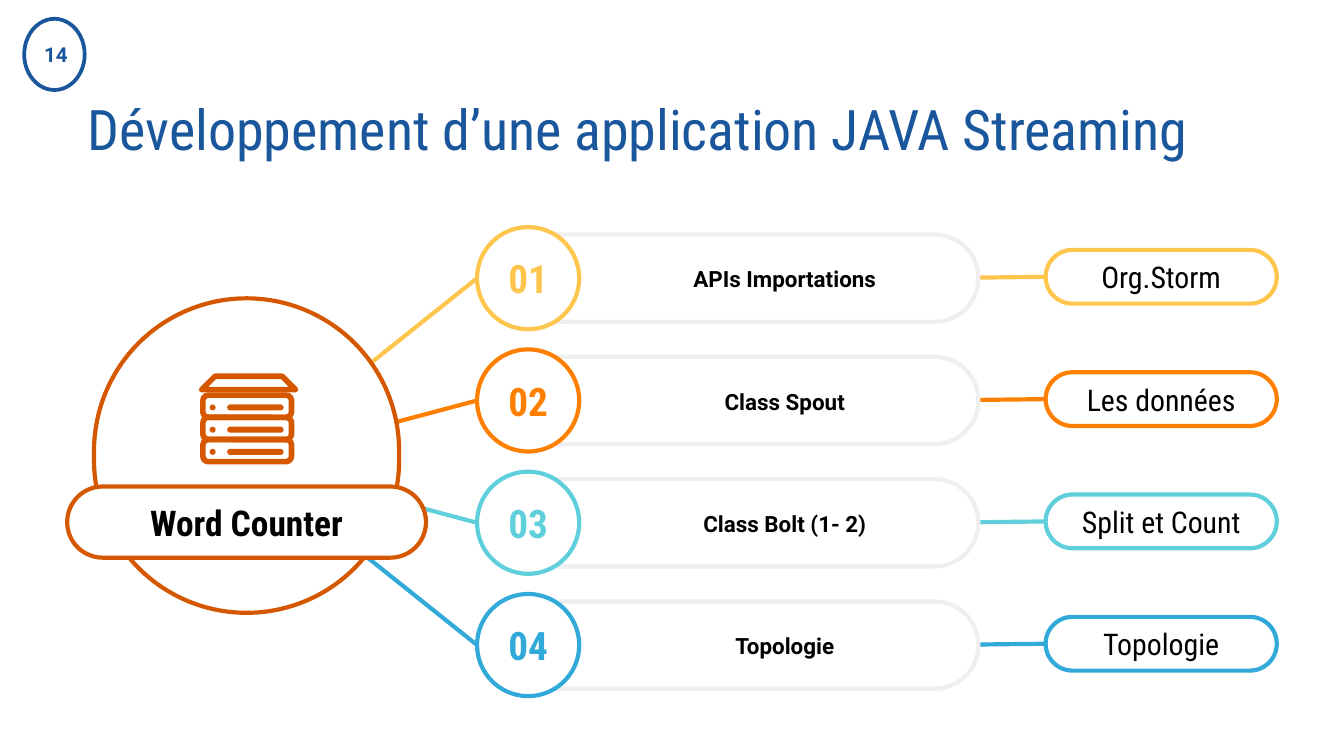
"""Build the slide on the four parts of a word-counting streaming application."""
from lxml.etree import SubElement
from pptx import Presentation
from pptx.dml.color import RGBColor
from pptx.enum.shapes import MSO_CONNECTOR, MSO_SHAPE as SHAPE
from pptx.enum.text import MSO_ANCHOR as ANCHOR, MSO_AUTO_SIZE, PP_ALIGN as ALIGN
from pptx.oxml.ns import qn
from pptx.util import Inches, Pt

COLORS = {
    "white": "FFFFFF", "black": "000000", "blue": "1A569C", "rust": "D55800",
    "grey": "EFEFEF", "yellow": "FFC64E", "orange": "FF8001", "teal": "5FD0DB",
    "sky": "32AAD9",
}
RGB = {name: RGBColor.from_string(value) for name, value in COLORS.items()}
ROWS = [
    ("yellow", "APIs Importations", "Org.Storm"),
    ("orange", "Class Spout", "Les données"),
    ("teal", "Class Bolt (1- 2)", "Split et Count"),
    ("sky", "Topologie", "Topologie"),
]
CONDENSED = "Roboto Condensed"

prs = Presentation()
prs.slide_width, prs.slide_height = Inches(10), Inches(5.625)
s = prs.slides.add_slide(prs.slide_layouts[5])
U = prs.slide_width / 100


def add(kind, box, fill="white", line=None, width=2.25):
    sp = s.shapes.add_shape(kind, *(round(v * U) for v in box))
    sp.shadow.inherit = False
    if kind == SHAPE.ROUNDED_RECTANGLE:
        sp.adjustments[0] = 0.5
    if fill:
        sp.fill.solid()
        sp.fill.fore_color.rgb = RGB[fill]
    else:
        sp.fill.background()
    if line:
        sp.line.color.rgb = RGB[line]
        sp.line.width = Pt(width)
    else:
        sp.line.fill.background()
    return sp


def write(sp, text, size, color="black", name=CONDENSED, bold=False,
          align=ALIGN.CENTER, anchor=ANCHOR.MIDDLE, left=1, right=1):
    tf = sp.text_frame
    tf.word_wrap = True
    tf.auto_size = MSO_AUTO_SIZE.NONE
    tf.vertical_anchor = anchor
    tf.margin_left, tf.margin_right = round(left * U), round(right * U)
    tf.margin_top = tf.margin_bottom = round(U)
    p = tf.paragraphs[0]
    p.text = text
    p.alignment = align
    p.font.size, p.font.name, p.font.bold = Pt(size), name, bold
    p.font.color.rgb = RGB[color]


title = s.shapes.title
title.left, title.top, title.width, title.height = (
    round(v * U) for v in (2.5, 6.9, 90, 5.3))
write(title, "Développement d’une application JAVA Streaming", 30, "blue")

hub = (18.4, 34.35)
for i, (color, step, detail) in enumerate(ROWS):
    mid = 20.7 + 9.1 * i
    pill = add(SHAPE.ROUNDED_RECTANGLE, (77.8, mid - 2.1, 17.2, 4), line=color)
    write(pill, detail, 16)
    for start, end in [(hub, (35.5, mid)), ((69.2, mid), (77.8, mid))]:
        link = s.shapes.add_connector(
            MSO_CONNECTOR.STRAIGHT, *(round(v * U) for v in start + end))
        link.line.color.rgb = RGB[color]
        link.line.width = Pt(2.25)
        SubElement(link.element.spPr, qn("a:effectLst"))
    link.end_connect(pill, 1)
    add(SHAPE.ROUNDED_RECTANGLE, (36.6, mid - 3.25, 36.2, 6.5), line="grey")
    label = s.shapes.add_textbox(
        *(round(v * U) for v in (43.6, mid - 2.2, 25.6, 4.5)))
    write(label, step, 12, name="Roboto", bold=True, left=6, right=2)
    circle = add(SHAPE.OVAL, (35.5, mid - 3.8, 7.6, 7.6), line=color)
    write(circle, f"{i + 1:02}", 21, color, bold=True, left=0, right=0)

add(SHAPE.ROUNDED_RECTANGLE, (7, 22.2, 22.7, 23.4), line="rust")

builder = s.shapes.build_freeform(15.1, 29.4, scale=U)
builder.add_line_segments([(15.8, 27.7), (21, 27.7), (21.7, 29.4)])
lid = builder.convert_to_shape()
lid.shadow.inherit = False
lid.fill.background()
lid.line.color.rgb = RGB["rust"]
lid.line.width = Pt(3)
for i in range(3):
    top = 29.4 + 1.65 * i
    unit = add(SHAPE.ROUNDED_RECTANGLE, (15.1, top, 6.6, 1.65), None, "rust", 3)
    unit.adjustments[0] = 0.25
    add(SHAPE.OVAL, (15.6, top + 0.7, 0.45, 0.45), "rust")
    add(SHAPE.ROUNDED_RECTANGLE, (16.9, top + 0.7, 4.2, 0.45), "rust")

banner = add(SHAPE.ROUNDED_RECTANGLE, (5, 36.2, 26.7, 5.3), line="rust")
write(banner, "Word Counter", 19, bold=True)

add(SHAPE.OVAL, (1.8, 1.4, 4.5, 5.3), line="blue", width=2)
number = s.shapes.add_textbox(*(round(v * U) for v in (2.3, 2.1, 5, 3.9)))
write(number, "14", 11, "blue", "Roboto", True, ALIGN.LEFT, ANCHOR.TOP)

prs.save("out.pptx")
